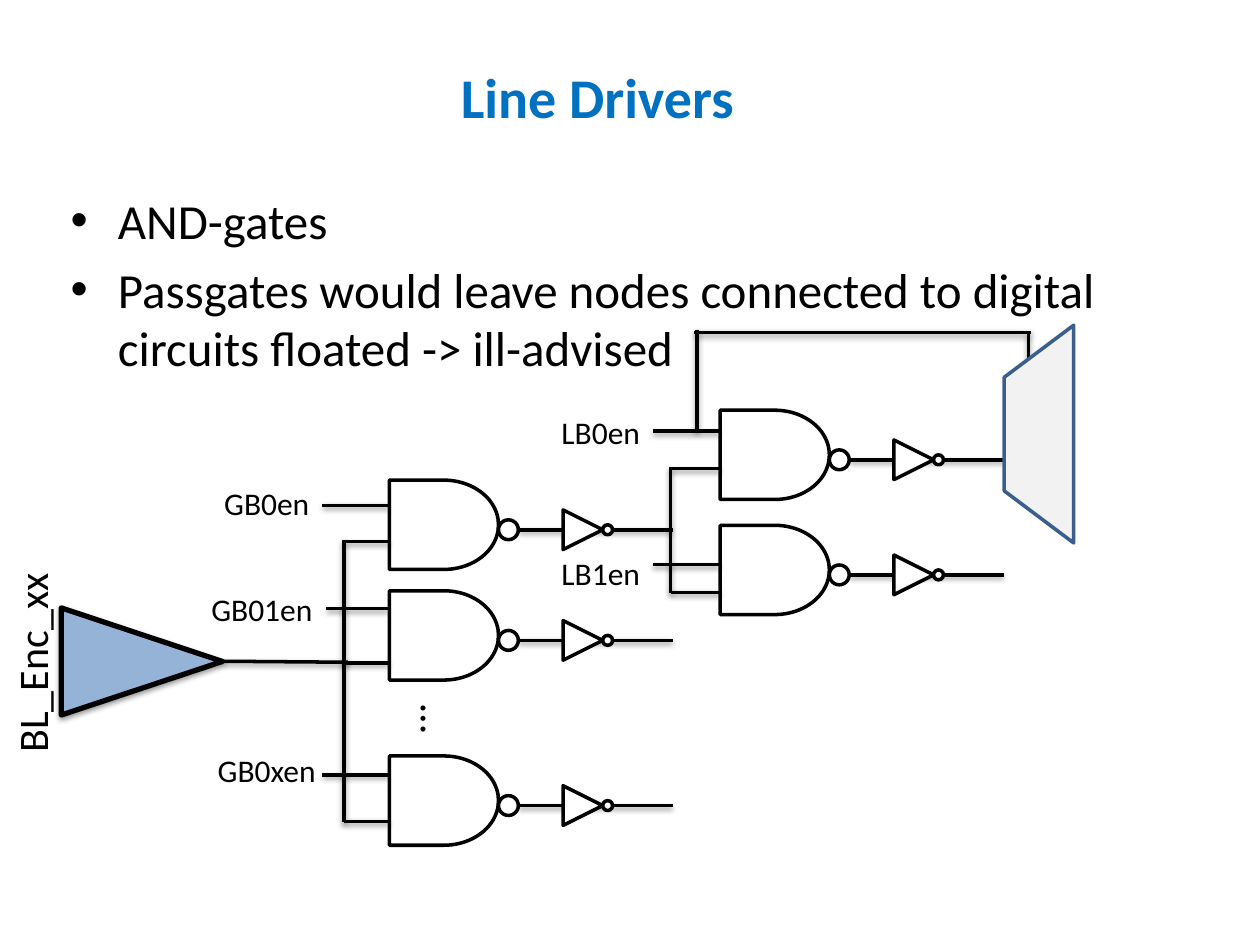
from dataclasses import dataclass

from pptx import Presentation
from pptx.dml.color import RGBColor
from pptx.enum.shapes import MSO_CONNECTOR, MSO_SHAPE
from pptx.enum.text import PP_ALIGN
from pptx.oxml.ns import qn
from pptx.util import Cm, Pt


@dataclass(frozen=True)
class Theme:
    font: str = "Calibri"
    ink: RGBColor = RGBColor(0x00, 0x00, 0x00)
    paper: RGBColor = RGBColor(0xFF, 0xFF, 0xFF)
    heading: RGBColor = RGBColor(0x00, 0x70, 0xC0)
    driver: RGBColor = RGBColor(0x95, 0xB3, 0xD7)
    mux: RGBColor = RGBColor(0xF2, 0xF2, 0xF2)
    mux_edge: RGBColor = RGBColor(0x3A, 0x5F, 0x8C)
    title_size: Pt = Pt(32)
    body_size: Pt = Pt(28)
    large_label: Pt = Pt(24)
    label: Pt = Pt(18)
    line: Pt = Pt(2)
    driver_line: Pt = Pt(3)


theme = Theme()


def add_wire(shapes, x1, y1, x2, y2):
    """Add a black line that keeps the soft shadow of the template's line style."""
    wire = shapes.add_connector(MSO_CONNECTOR.STRAIGHT, Cm(x1), Cm(y1), Cm(x2), Cm(y2))
    wire.line.color.rgb = theme.ink
    wire.line.width = theme.line


def add_part(shapes, kind, left, top, width, height, rotation=0):
    """Add a white circuit symbol with a black outline."""
    part = shapes.add_shape(kind, Cm(left), Cm(top), Cm(width), Cm(height))
    part.rotation = rotation
    part.fill.solid()
    part.fill.fore_color.rgb = theme.paper
    part.line.color.rgb = theme.ink
    part.line.width = theme.line
    part.shadow.inherit = False
    return part


deck = Presentation()
deck.slide_width, deck.slide_height = Cm(25.4), Cm(19.05)
page = deck.slides.add_slide(deck.slide_layouts[1])

# Title and list
title, body = page.shapes.title, page.placeholders[1]
title.left, title.top, title.width, title.height = Cm(4.5), Cm(1.12), Cm(15.09), Cm(1.63)
title.text_frame.text = "Line Drivers"
body.left, body.top, body.width, body.height = Cm(1.17), Cm(3.71), Cm(23.32), Cm(12.57)
body.text_frame.text = (
    "AND-gates\n"
    "Passgates would leave nodes connected to digital circuits floated -> ill-advised"
)
for box, size, color, bold in (
    (title, theme.title_size, theme.heading, True),
    (body, theme.body_size, theme.ink, False),
):
    for para in box.text_frame.paragraphs:
        for span in para.runs:
            span.font.name = theme.font
            span.font.size = size
            span.font.color.rgb = color
            span.font.bold = bold
title.text_frame.paragraphs[0].alignment = PP_ALIGN.CENTER

# Input driver, with the same shadow as the wires
driver = add_part(page.shapes, MSO_SHAPE.ISOSCELES_TRIANGLE, 1.78, 11.71, 2.16, 3.25, 90)
driver.fill.fore_color.rgb = theme.driver
driver.line.width = theme.driver_line
driver.element.spPr.remove(driver.element.spPr.find(qn("a:effectLst")))
driver.element.find(".//" + qn("a:effectRef")).set("idx", "1")

# Each AND gate is a NAND gate followed by an inverter
global_x, local_x = 7.85, 14.52
for x, y in (
    (global_x, 9.68),
    (global_x, 11.91),
    (global_x, 15.24),
    (local_x, 8.27),
    (local_x, 10.59),
):
    gate = page.shapes.add_group_shape().shapes
    add_wire(gate, x + 2.6, y + 1, x + 5.71, y + 1)
    add_part(gate, MSO_SHAPE.FLOWCHART_DELAY, x, y, 2.2, 1.8)
    add_part(gate, MSO_SHAPE.FLOWCHART_CONNECTOR, x + 2.2, y + 0.8, 0.4, 0.4)
    add_part(gate, MSO_SHAPE.ISOSCELES_TRIANGLE, x + 3.5, y + 0.6, 0.8, 0.8, 90)
    add_part(gate, MSO_SHAPE.FLOWCHART_CONNECTOR, x + 4.3, y + 0.9, 0.2, 0.2)

# Buses, each with one tap per gate
global_bus, local_bus = 6.93, 13.52
add_wire(page.shapes, 4.5, 13.33, 7.01, 13.35)
for bus, gate_x, taps in (
    (global_bus, global_x, (10.92, 13.36, 16.56)),
    (local_bus, local_x, (9.45, 11.94)),
):
    add_wire(page.shapes, bus, taps[0] - 0.04, bus, taps[-1] + 0.02)
    for y in taps:
        add_wire(page.shapes, bus, y, gate_x, y)

# Enable inputs
for gate_x, start, y in (
    (global_x, 6.5, 10.19),
    (global_x, 6.58, 12.27),
    (global_x, 6.5, 15.62),
    (local_x, 13.16, 8.69),
    (local_x, 13.16, 11.38),
):
    add_wire(page.shapes, gate_x - 0.03, y, start, y)

# Select line from LB0en to the multiplexer
add_wire(page.shapes, 14.05, 8.69, 14.05, 6.65)
add_wire(page.shapes, 14, 6.7, 20.78, 6.7)
add_wire(page.shapes, 20.73, 6.73, 20.73, 8.23)

# Labels
for text, left, top, width, height, size, rotation in (
    ("GB0en", 4.27, 9.63, 2.26, 1.02, theme.label, 0),
    ("GB01en", 4.01, 11.76, 2.57, 1.02, theme.label, 0),
    ("GB0xen", 4.14, 15.01, 2.51, 1.02, theme.label, 0),
    ("LB0en", 11.07, 8.2, 2.11, 1.02, theme.label, 0),
    ("LB1en", 11.07, 11.05, 2.11, 1.02, theme.label, 0),
    ("…", 8.26, 13.87, 1.12, 1.27, theme.large_label, 90),
    ("BL_Enc_xx", -1.45, 12.7, 4.17, 1.27, theme.large_label, 270),
):
    box = page.shapes.add_textbox(Cm(left), Cm(top), Cm(width), Cm(height))
    box.rotation = rotation
    box.text_frame.word_wrap = False
    box.text_frame.text = text
    span = box.text_frame.paragraphs[0].runs[0]
    span.font.name = theme.font
    span.font.size = size
    span.font.color.rgb = theme.ink

# Multiplexer
mux = add_part(page.shapes, MSO_SHAPE.TRAPEZOID, 18.75, 8.05, 4.39, 1.4, 270)
mux.adjustments[0] = 0.75
mux.fill.fore_color.rgb = theme.mux
mux.line.color.rgb = theme.mux_edge

deck.save("out.pptx")
